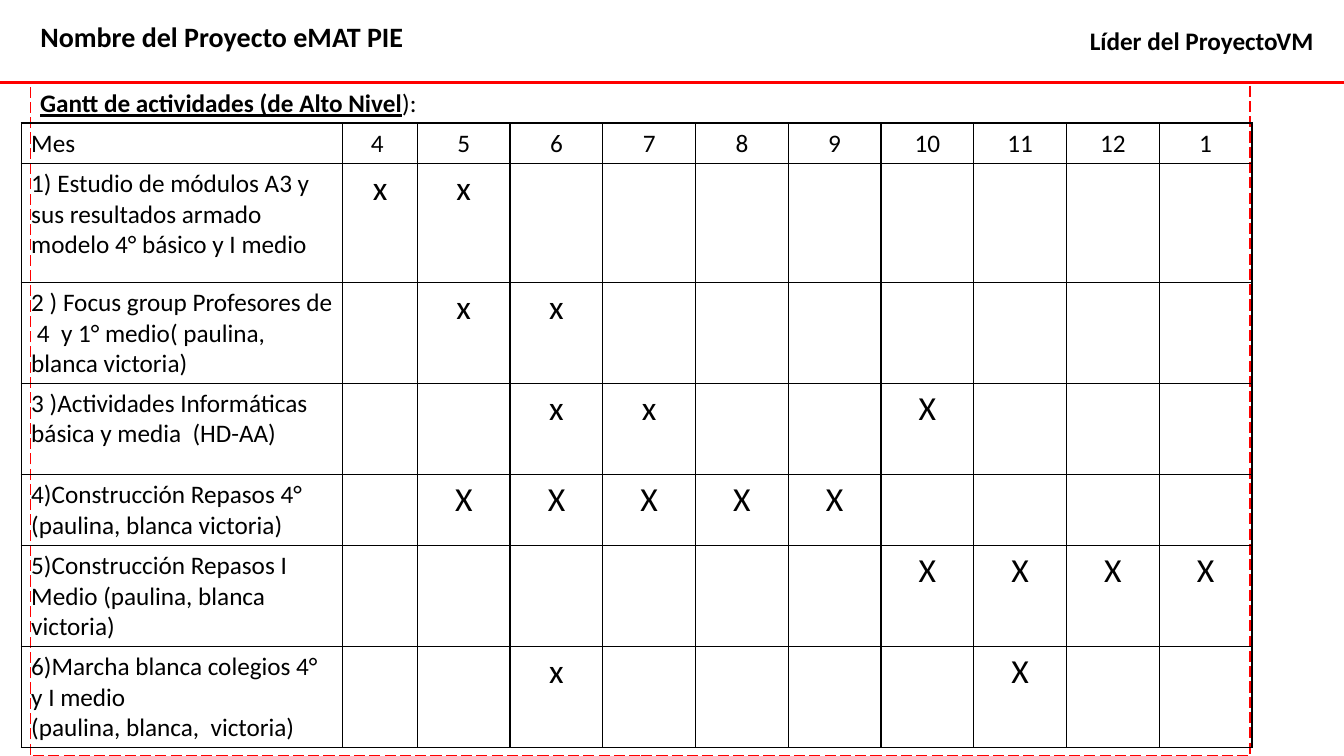
from lxml.etree import SubElement
from pptx import Presentation
from pptx.dml.color import RGBColor
from pptx.enum.dml import MSO_LINE
from pptx.enum.shapes import MSO_CONNECTOR, MSO_SHAPE
from pptx.enum.text import MSO_ANCHOR, MSO_AUTO_SIZE, PP_ALIGN
from pptx.oxml import parse_xml
from pptx.oxml.ns import nsdecls, qn
from pptx.util import Inches, Pt

BLACK, RED = "000000", "FF0000"


def color(code):
    return RGBColor.from_string(code)


class Deck:
    font = "Calibri"

    def __init__(self, wide, high):
        self.prs = Presentation()
        self.prs.slide_width, self.prs.slide_height = Inches(wide), Inches(high)
        self.slide = self.prs.slides.add_slide(self.prs.slide_layouts[5])
        self.shapes = self.slide.shapes

    def style(self, par, size=18, bold=False, align=PP_ALIGN.LEFT):
        par.alignment = align
        font = par.font
        font.name, font.size, font.bold = self.font, Pt(size), bold
        font.color.rgb = color(BLACK)

    def label(self, shape, text, size, wrap=True):
        frame = shape.text_frame
        frame.text = text
        frame.word_wrap = wrap
        frame.auto_size = MSO_AUTO_SIZE.SHAPE_TO_FIT_TEXT
        frame.vertical_anchor = MSO_ANCHOR.TOP
        self.style(frame.paragraphs[0], size, True)

    def title(self, text, box, size):
        shape = self.shapes.title
        shape.left, shape.top, shape.width, shape.height = map(Inches, box)
        self.label(shape, text, size)

    def text(self, text, box, size):
        shape = self.shapes.add_textbox(*map(Inches, box))
        self.label(shape, text, size, False)

    def rule(self, top, wide, weight):
        line = self.shapes.add_connector(
            MSO_CONNECTOR.STRAIGHT, 0, Inches(top), Inches(wide), Inches(top))
        line.line.color.rgb = color(RED)
        line.line.width = Pt(weight)
        SubElement(line._element.spPr, qn("a:effectLst"))

    def frame(self, head, tail, box):
        shape = self.shapes.add_shape(MSO_SHAPE.RECTANGLE, *map(Inches, box))
        shape.shadow.inherit = False
        shape.fill.background()
        shape.line.color.rgb = color(RED)
        shape.line.width = Pt(1)
        shape.line.dash_style = MSO_LINE.LONG_DASH
        shape.text_frame.vertical_anchor = MSO_ANCHOR.TOP
        par = shape.text_frame.paragraphs[0]
        self.style(par)
        for part, strong in ((head, True), (tail, False)):
            run = par.add_run()
            run.text = part
            run.font.bold = run.font.underline = strong

    def border(self, cell):
        props = cell._tc.get_or_add_tcPr()
        for spot, side in enumerate("LRTB"):
            props.insert(spot, parse_xml(
                f'<a:ln{side} {nsdecls("a")} w="12700"><a:solidFill>'
                f'<a:srgbClr val="{BLACK}"/></a:solidFill></a:ln{side}>'))

    def table(self, rows, box, widths, heights):
        table = self.shapes.add_table(
            len(heights), len(widths), *map(Inches, box)).table
        table.first_row = table.horz_banding = False
        for col, width in zip(table.columns, widths):
            col.width = Inches(width)
        for row, height in zip(table.rows, heights):
            row.height = Inches(height)
        for y, row in enumerate(rows):
            for x, text in enumerate(row):
                cell = table.cell(y, x)
                cell.text = text
                cell.fill.background()
                self.border(cell)
                size = 24 if x and y and text else 18
                align = PP_ALIGN.CENTER if x else PP_ALIGN.LEFT
                for par in cell.text_frame.paragraphs:
                    self.style(par, size, align=align)


# Months and the marks of each task by month
months = ["4 ", "5", "6", "7", "8", "9", "10", "11", "12", "1"]
tasks = [
    ("1) Estudio de módulos A3 y sus resultados armado modelo 4° básico y I medio",
     "xx--------"),
    ("2 ) Focus group Profesores de  4  y 1° medio( paulina, blanca victoria)",
     "-xx-------"),
    ("3 )Actividades Informáticas básica y media  (HD-AA)", "--xx--X---"),
    ("4)Construcción Repasos 4° (paulina, blanca victoria)", "-XXXXX----"),
    ("5)Construcción Repasos I  Medio (paulina, blanca victoria)", "------XXXX"),
    ("6)Marcha blanca colegios 4° y I medio\n(paulina, blanca,  victoria)",
     "--x----X--"),
]
rows = [["Mes"] + months]
rows += [[name] + [mark.strip("-") for mark in marks] for name, marks in tasks]

# Header
deck = Deck(13.33, 7.5)
deck.rule(0.82, 13.33, 2.25)
deck.title("Nombre del Proyecto eMAT PIE", (0.3, 0.14, 4.06, 0.44), 20)
deck.text("Líder del ProyectoVM", (10.71, 0.2, 2.45, 0.4), 18)

# Gantt
deck.frame("Gantt de actividades (de Alto Nivel", "):", (0.3, 0.82, 12.1, 6.68))
deck.table(rows, (0.21, 1.22, 12.2, 6.19), [3.19, 0.74] + [0.92] * 9,
           [0.37, 1.18, 0.91, 0.91, 0.64, 0.91, 0.91])

deck.prs.save("out.pptx")
